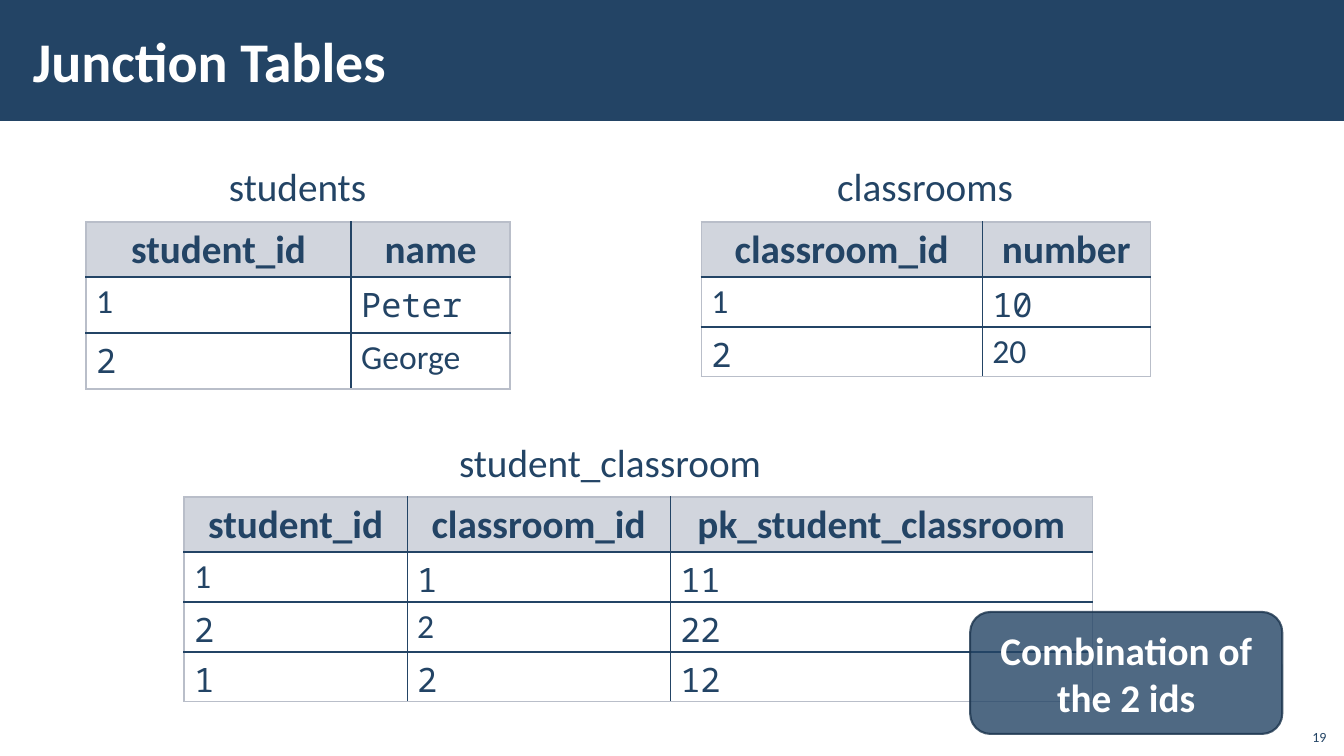
from lxml import etree
from pptx import Presentation
from pptx.dml.color import RGBColor
from pptx.enum.shapes import MSO_SHAPE
from pptx.enum.text import MSO_ANCHOR, PP_ALIGN
from pptx.oxml.ns import qn
from pptx.util import Emu, Inches, Pt

RECTANGLE, ROUNDED = MSO_SHAPE.RECTANGLE, MSO_SHAPE.ROUNDED_RECTANGLE
LEFT, CENTER, RIGHT = PP_ALIGN.LEFT, PP_ALIGN.CENTER, PP_ALIGN.RIGHT
TOP, MIDDLE, BOTTOM = MSO_ANCHOR.TOP, MSO_ANCHOR.MIDDLE, MSO_ANCHOR.BOTTOM
EMU_PER_PX = 914400 / 100.8
SANS, MONO = "Calibri", "Noto Sans Mono"
COLORS = {
    "navy": "234465",
    "outline": "1A334C",
    "header": "D1D5DD",
    "frame": "B9BEC9",
    "white": "FFFFFF",
}


def px(length):
    return Emu(round(length * EMU_PER_PX))


def rgb(name):
    return RGBColor.from_string(COLORS[name])


class SlideBuilder:
    """Draws styled elements on one slide, with lengths in px."""

    def __init__(self, slide):
        self.slide = slide

    def format_text(self, frame, text, size, color="navy", bold=False,
                    align=LEFT, font=SANS):
        frame.text = text
        paragraph = frame.paragraphs[0]
        paragraph.alignment = align
        run_font = paragraph.runs[0].font
        run_font.name, run_font.size, run_font.bold = font, Pt(size), bold
        run_font.color.rgb = rgb(color)
        return paragraph

    def text(self, box, text, size, anchor=TOP, wrap=True, **style):
        frame = self.slide.shapes.add_textbox(*map(px, box)).text_frame
        frame.word_wrap = wrap
        frame.vertical_anchor = anchor
        self.format_text(frame, text, size, **style)
        return frame

    def shape(self, kind, box, outline=None, opacity=100):
        shape = self.slide.shapes.add_shape(kind, *map(px, box))
        shape.shadow.inherit = False
        shape.fill.solid()
        shape.fill.fore_color.rgb = rgb("navy")
        if outline:
            shape.line.color.rgb = rgb(outline)
            shape.line.width = Pt(1.5)
        else:
            shape.line.fill.background()
        if opacity < 100:
            for color in shape._element.spPr.iter(qn("a:srgbClr")):
                alpha = etree.SubElement(color, qn("a:alpha"))
                alpha.set("val", str(opacity * 1000))
        return shape

    def callout(self, box, text):
        frame = self.shape(ROUNDED, box, "outline", 80).text_frame
        frame.word_wrap = True
        frame.vertical_anchor = MIDDLE
        self.format_text(frame, text, 28, "white", True, CENTER)

    def borders(self, cell, outer_sides):
        properties = cell._tc.get_or_add_tcPr()
        for side in "LRTB":
            line = etree.SubElement(properties, qn("a:ln" + side), w="12700")
            fill = etree.SubElement(line, qn("a:solidFill"))
            color = "frame" if side in outer_sides else "navy"
            etree.SubElement(fill, qn("a:srgbClr"), val=COLORS[color])

    def table(self, left, top, widths, row_height, rows, sans_cells):
        heights = [55] + [row_height] * (len(rows) - 1)
        table = self.slide.shapes.add_table(
            len(rows), len(widths), px(left), px(top),
            px(sum(widths)), px(sum(heights))).table
        table.first_row = table.horz_banding = False
        for column, width in zip(table.columns, widths):
            column.width = px(width)
        for row, height in zip(table.rows, heights):
            row.height = px(height)
        for i, values in enumerate(rows):
            for j, value in enumerate(values):
                cell = table.cell(i, j)
                edges = {"L": j == 0, "R": j == len(widths) - 1,
                         "T": i == 0, "B": i == len(rows) - 1}
                self.borders(cell, [side for side in edges if edges[side]])
                cell.fill.solid()
                cell.fill.fore_color.rgb = rgb("white" if i else "header")
                if i:
                    cell.margin_bottom = 0
                    font = SANS if (i, j) in sans_cells else MONO
                    self.format_text(cell.text_frame, value, 24, font=font)
                else:
                    cell.margin_left = cell.margin_right = px(17)
                    paragraph = self.format_text(
                        cell.text_frame, value, 28, bold=True, align=CENTER)
                    paragraph.line_spacing = 0.95


def main():
    presentation = Presentation()
    presentation.slide_width = Inches(13.33)
    presentation.slide_height = Inches(7.5)
    slide = presentation.slides.add_slide(presentation.slide_layouts[6])
    builder = SlideBuilder(slide)

    builder.shape(RECTANGLE, (0, 0, 1344, 121))
    builder.text((1295, 718, 41, 32), "19", 10, BOTTOM, align=RIGHT)
    title = builder.text((21, 11, 1071, 98), "Junction Tables", 40, MIDDLE,
                         color="white", bold=True)
    title.margin_left = title.margin_right = px(12)

    builder.table(86, 222, (265, 159), 56, [
        ("student_id", "name"),
        ("1", "Peter"),
        ("2", "George"),
    ], {(1, 0), (2, 1)})
    builder.table(701, 222, (281, 168), 50, [
        ("classroom_id", "number"),
        ("1", "10"),
        ("2", "20"),
    ], {(1, 0), (2, 1)})
    builder.table(184, 497, (223, 263, 422), 50, [
        ("student_id", "classroom_id", "pk_student_classroom"),
        ("1", "1", "11"),
        ("2", "2", "22"),
        ("1", "2", "12"),
    ], {(1, 0), (2, 1)})

    for box, name in [
        ((219, 157, 159, 57), "students"),
        ((827, 157, 199, 57), "classrooms"),
        ((449, 433, 326, 57), "student_classroom"),
    ]:
        builder.text(box, name, 28, wrap=False)
    builder.callout((970, 612, 312, 122), "Combination of the 2 ids")

    presentation.save("out.pptx")


if __name__ == "__main__":
    main()
